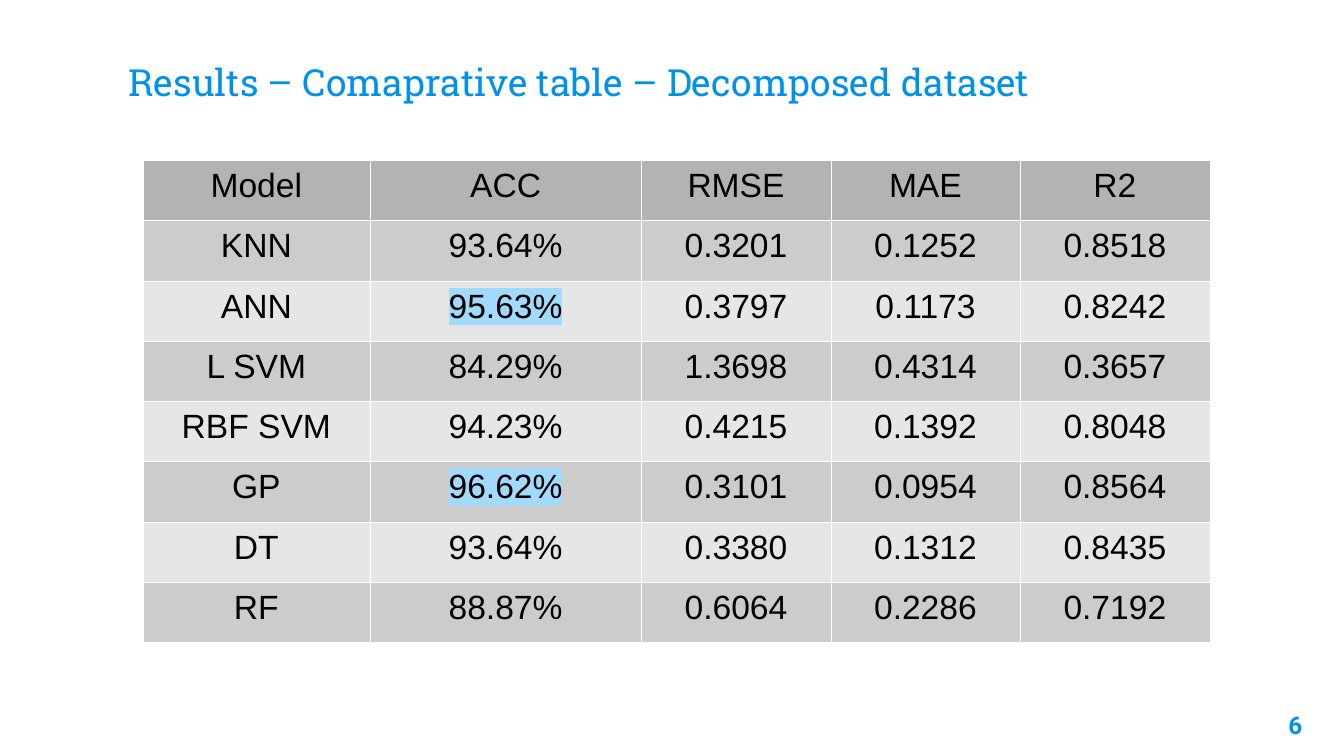
import lxml.etree
import pptx
import pptx.dml.color
import pptx.enum.text
import pptx.oxml.ns
import pptx.util

Cm = pptx.util.Cm
Pt = pptx.util.Pt
ALIGN = pptx.enum.text.PP_ALIGN
ANCHOR = pptx.enum.text.MSO_ANCHOR

BLUE = "0091EA"
HIGHLIGHT = "A2DAFD"
HEADER_FILL = "B3B3B3"
BAND_FILLS = ["E6E6E6", "CCCCCC"]
COLUMN_WIDTHS = [4.29, 5.13, 3.58, 3.58, 3.58]
ROW_HEIGHT = 1.14
BEST_SCORES = {"95.63%", "96.62%"}
RESULTS = [
    ["Model", "ACC", "RMSE", "MAE", "R2"],
    ["KNN", "93.64%", "0.3201", "0.1252", "0.8518"],
    ["ANN", "95.63%", "0.3797", "0.1173", "0.8242"],
    ["L SVM", "84.29%", "1.3698", "0.4314", "0.3657"],
    ["RBF SVM", "94.23%", "0.4215", "0.1392", "0.8048"],
    ["GP", "96.62%", "0.3101", "0.0954", "0.8564"],
    ["DT", "93.64%", "0.3380", "0.1312", "0.8435"],
    ["RF", "88.87%", "0.6064", "0.2286", "0.7192"],
]


def rgb(color):
    return pptx.dml.color.RGBColor.from_string(color)


def add_xml(parent, tag, **attributes):
    return lxml.etree.SubElement(parent, pptx.oxml.ns.qn(tag), attributes)


def style_paragraph(paragraph, font, size, color, align, bold=False):
    paragraph.alignment = align
    paragraph.font.name = font
    paragraph.font.size = Pt(size)
    paragraph.font.bold = bold
    paragraph.font.color.rgb = rgb(color)


def add_label(slide, text, left, top, width, height, font, size, align, anchor, bold=False):
    frame = slide.shapes.add_textbox(Cm(left), Cm(top), Cm(width), Cm(height)).text_frame
    frame.word_wrap = True
    frame.vertical_anchor = anchor
    frame.margin_left = frame.margin_right = Cm(0.25)
    frame.margin_top = frame.margin_bottom = Cm(0.25)
    frame.text = text
    style_paragraph(frame.paragraphs[0], font, size, BLUE, align, bold)


def add_borders(cell):
    properties = cell._tc.get_or_add_tcPr()
    for side in ("a:lnL", "a:lnR", "a:lnT", "a:lnB"):
        line = add_xml(properties, side, w=str(Pt(0.06)))
        add_xml(add_xml(line, "a:solidFill"), "a:srgbClr", val="FFFFFF")


def highlight(run):
    mark = add_xml(run._r.get_or_add_rPr(), "a:highlight")
    add_xml(mark, "a:srgbClr", val=HIGHLIGHT)


def fill_cell(cell, text, fill):
    add_borders(cell)
    cell.fill.solid()
    cell.fill.fore_color.rgb = rgb(fill)
    cell.text = text
    paragraph = cell.text_frame.paragraphs[0]
    style_paragraph(paragraph, "Arial", 18, "000000", ALIGN.CENTER)
    if text in BEST_SCORES:
        highlight(paragraph.runs[0])


def add_results_table(slide, left, top):
    table = slide.shapes.add_table(
        len(RESULTS), len(COLUMN_WIDTHS), Cm(left), Cm(top),
        Cm(sum(COLUMN_WIDTHS)), Cm(ROW_HEIGHT * len(RESULTS)),
    ).table
    for column, width in zip(table.columns, COLUMN_WIDTHS):
        column.width = Cm(width)
    for index, (row, values) in enumerate(zip(table.rows, RESULTS)):
        row.height = Cm(ROW_HEIGHT)
        fill = BAND_FILLS[index % 2] if index else HEADER_FILL
        for cell, value in zip(row.cells, values):
            fill_cell(cell, value, fill)


def main():
    deck = pptx.Presentation()
    deck.slide_width = Cm(25.4)
    deck.slide_height = Cm(14.29)
    slide = deck.slides.add_slide(deck.slide_layouts[6])
    add_label(slide, "Results – Comaprative table – Decomposed dataset",
              2.18, 0.25, 21.03, 1.96, "Roboto Slab", 20, ALIGN.LEFT, ANCHOR.BOTTOM)
    add_label(slide, "6", 23.34, 13.18, 1.52, 1.09, "Roboto", 13,
              ALIGN.RIGHT, ANCHOR.TOP, bold=True)
    add_results_table(slide, 2.7, 3.03)
    deck.save("out.pptx")


if __name__ == "__main__":
    main()
